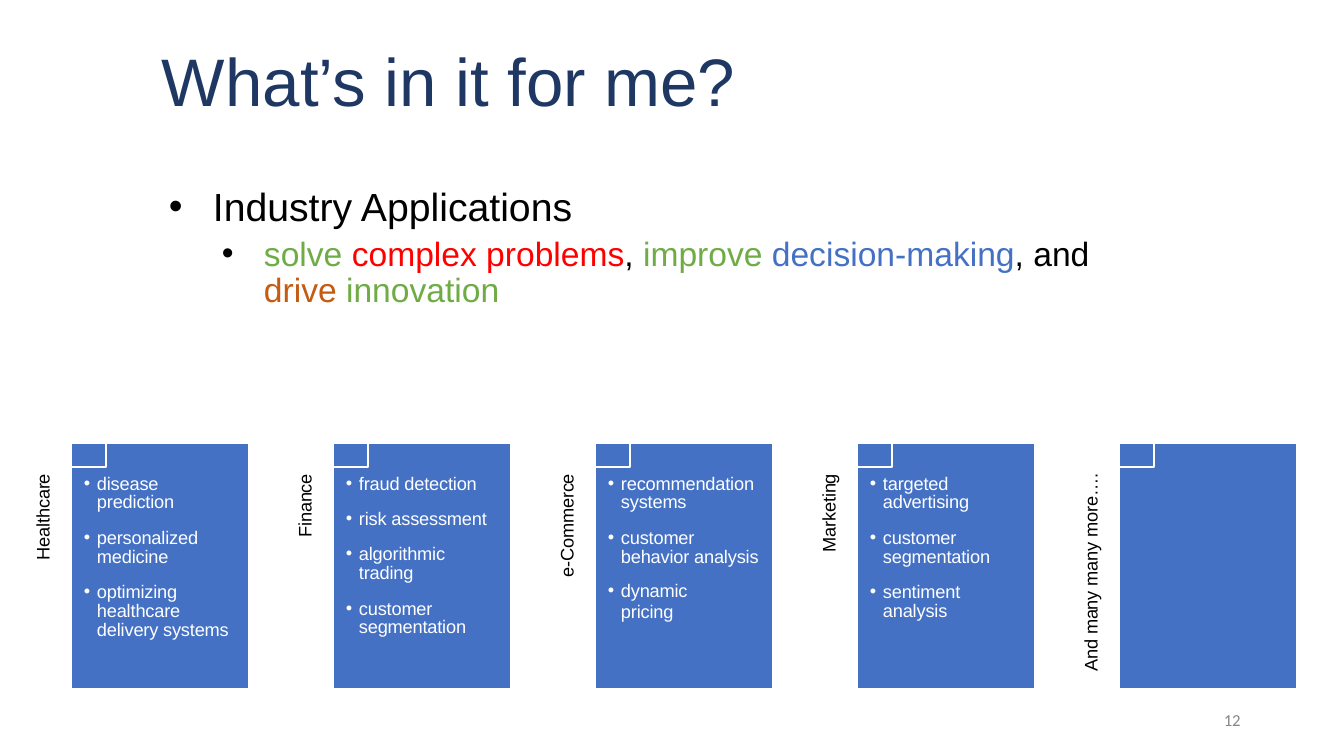
from dataclasses import dataclass

from lxml.etree import SubElement
from pptx import Presentation
from pptx.dml.color import RGBColor
from pptx.enum.shapes import MSO_SHAPE
from pptx.enum.text import PP_ALIGN
from pptx.oxml.ns import qn
from pptx.util import Pt

PX = 914400 / 100.8


@dataclass(frozen=True)
class Theme:
    navy: str = "1F3863"
    black: str = "000000"
    white: str = "FFFFFF"
    green: str = "6FAC46"
    red: str = "FF0000"
    blue: str = "4471C4"
    orange: str = "C55A11"
    grey: str = "878787"
    font: str = "Arial"
    number_font: str = "Calibri"
    title: int = 48
    heading: int = 28
    detail: int = 24
    small: int = 13
    number: int = 12


theme = Theme()


def px(*lengths):
    return [round(length * PX) for length in lengths]


def add_text(frame, text, *, size, color=theme.black, font=theme.font, align=PP_ALIGN.LEFT,
             line=None, before=None, bullet_color=None, level=0, indent=0, hanging=0,
             right=0, tracking=0):
    """Add one paragraph; text is a string or a list of (words, color) runs."""
    paragraph = frame.paragraphs[0]
    if paragraph.runs:
        paragraph = frame.add_paragraph()
    paragraph.alignment, paragraph.level = align, level
    if line:
        paragraph.line_spacing = Pt(line)
    if before:
        paragraph.space_before = Pt(before)
    properties = paragraph._p.get_or_add_pPr()
    for name, length in zip(("marL", "indent", "marR"), px(indent, -hanging, right)):
        properties.set(name, str(length))
    if bullet_color:
        fill = SubElement(properties, qn("a:buClr"))
        SubElement(fill, qn("a:srgbClr"), val=bullet_color)
        SubElement(properties, qn("a:buFont"), typeface=theme.font)
        SubElement(properties, qn("a:buChar"), char="•")
    for words, run_color in [(text, color)] if isinstance(text, str) else text:
        run = paragraph.add_run()
        run.text = words
        run.font.size, run.font.name = Pt(size), font
        run.font.color.rgb = RGBColor.from_string(run_color)
        if tracking:
            run._r.get_or_add_rPr().set("spc", str(tracking))


deck = Presentation()
deck.slide_width, deck.slide_height = px(1344, 756)
slide = deck.slides.add_slide(deck.slide_layouts[6])
shapes = slide.shapes

CARD_LEFT, CARD_TOP, CARD_STEP = 71, 443, 262
cards = [
    ("Healthcare", ["disease prediction", "personalized medicine",
                    "optimizing healthcare delivery systems"]),
    ("Finance", ["fraud detection", "risk assessment", "algorithmic trading",
                 "customer segmentation"]),
    ("e-Commerce", ["recommendation systems", "customer behavior analysis",
                    "dynamic pricing"]),
    ("Marketing", ["targeted advertising", "customer segmentation", "sentiment analysis"]),
    ("And many many more….", []),
]

# Panels: a filled card, with an outlined square over its top left corner
for index in range(len(cards)):
    left = CARD_LEFT + index * CARD_STEP
    for bounds, filled in (((left, CARD_TOP, 178, 247), True),
                           ((left - 36, CARD_TOP - 47, 71, 71), False)):
        panel = shapes.add_shape(MSO_SHAPE.RECTANGLE, *px(*bounds))
        panel.shadow.inherit = False
        panel.line.color.rgb = RGBColor.from_string(theme.white)
        panel.line.width = Pt(2.04)
        if filled:
            panel.fill.solid()
            panel.fill.fore_color.rgb = RGBColor.from_string(theme.blue)
        else:
            panel.fill.background()

# Text frames, all without margins
places = {
    "title": (161, 39, 640, 78),
    "applications": (167, 182, 924, 124),
    "page": (1220, 713, 27, 20),
}
for index, (industry, uses) in enumerate(cards):
    left = CARD_LEFT + index * CARD_STEP
    places[industry] = (left - 39, 474, 23, 204)
    if uses:
        places[industry, "uses"] = (left + 12, 475, 152, 170)

frames = {}
for part, bounds in places.items():
    frame = shapes.add_textbox(*px(*bounds)).text_frame
    frame.word_wrap = True
    frame.margin_left = frame.margin_top = frame.margin_right = frame.margin_bottom = 0
    frames[part] = frame

add_text(frames["title"], "What’s in it for me?", size=theme.title, color=theme.navy, indent=1)
add_text(frames["applications"], "Industry Applications", size=theme.heading,
         bullet_color=theme.black, indent=46, hanging=44)
add_text(frames["applications"],
         [("solve ", theme.green), ("complex problems", theme.red), (", ", theme.black),
          ("improve ", theme.green), ("decision-making", theme.blue), (", and ", theme.black),
          ("drive ", theme.orange), ("innovation", theme.green)],
         size=theme.detail, bullet_color=theme.black, level=1, indent=97, hanging=42,
         line=25.9, before=5.6)

for industry, uses in cards:
    label = frames[industry]
    label._txBody.bodyPr.set("vert", "vert270")
    add_text(label, industry, size=theme.small, align=PP_ALIGN.RIGHT, line=15.3, tracking=-10)
    for order, use in enumerate(uses):
        loose = use == "dynamic pricing"
        add_text(frames[industry, "uses"], use, size=theme.small, color=theme.white,
                 bullet_color=theme.white, indent=14, hanging=13, tracking=-10,
                 line=15 if loose else 13.4, right=30 if loose else 0,
                 before=(9.8 if loose else 11.9) if order else None)

add_text(frames["page"], "12", size=theme.number, font=theme.number_font, color=theme.grey,
         indent=4, line=12.4, tracking=-20)

deck.save("out.pptx")
